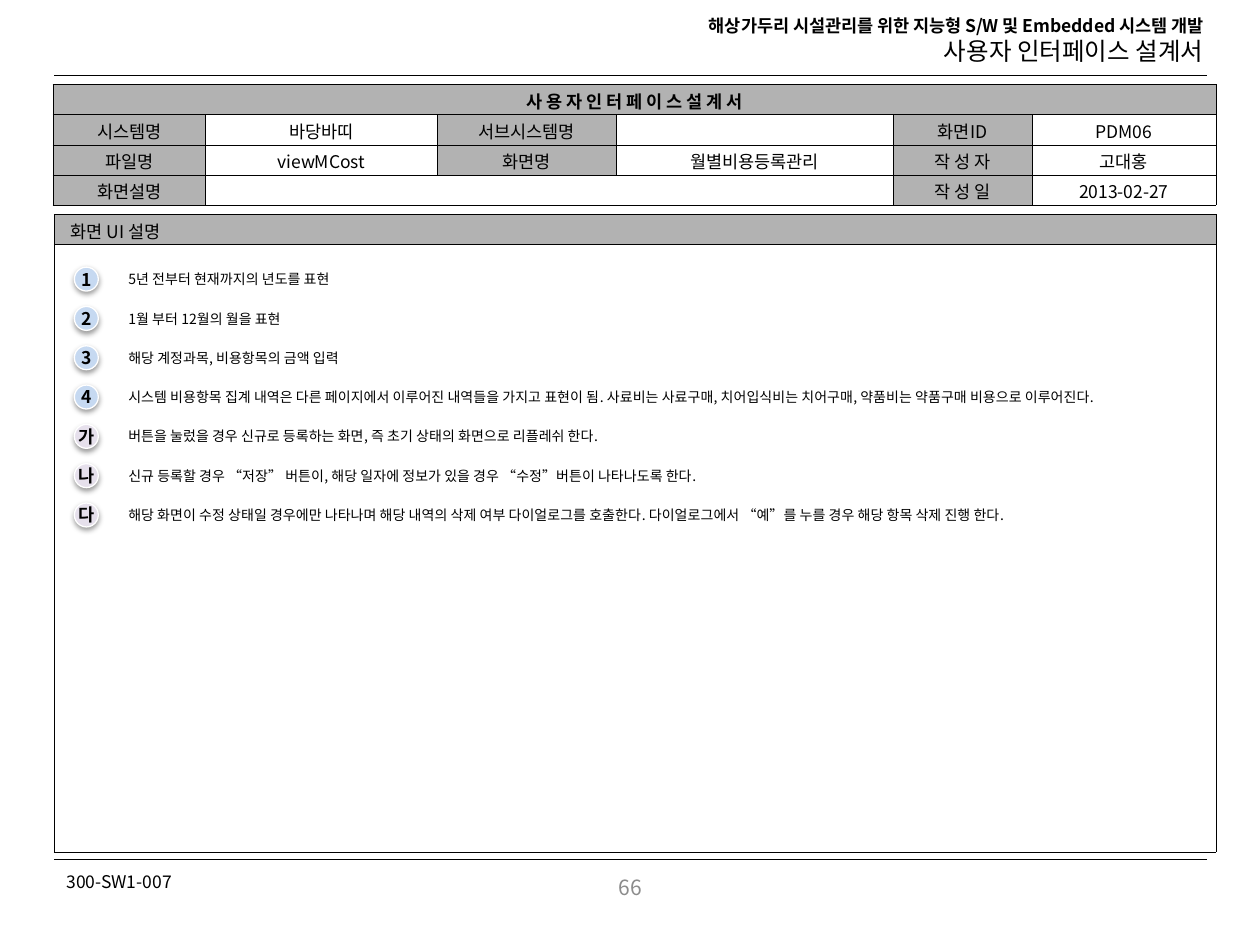
import pptx
import pptx.util
import pptx.dml.color
import pptx.enum.shapes
import pptx.enum.text
import pptx.oxml
import pptx.oxml.ns
from lxml import etree

Inches, Pt = pptx.util.Inches, pptx.util.Pt
ALIGN, ANCHOR = pptx.enum.text.PP_ALIGN, pptx.enum.text.MSO_ANCHOR
FONT = "Noto Sans CJK KR"
BLACK, WHITE, GRAY, BLUE, LILAC = "000000", "FFFFFF", "B2B2B2", "C6D9F1", "E6E0EC"

# Content
HEADER = ["해상가두리 시설관리를 위한 지능형 S/W 및 Embedded 시스템 개발", "사용자 인터페이스 설계서"]
DOCUMENT_CODE, PAGE_NUMBER = "300-SW1-007", "66"
INFO_ROWS = [
    ["사 용 자 인 터 페 이 스 설 계 서", "", "", "", "", ""],
    ["시스템명", "바당바띠", "서브시스템명", "", "화면ID", "PDM06"],
    ["파일명", "viewMCost", "화면명", "월별비용등록관리", "작 성 자", "고대홍"],
    ["화면설명", "", "", "", "작 성 일", "2013-02-27"],
]
INFO_COLUMNS = [1.21, 1.84, 1.42, 2.2, 1.1, 1.46]
INFO_MERGES = [(0, 0, 5), (3, 1, 3)]  # row, first column, last column
PANEL_ROWS = [["화면 UI 설명"], [""]]
NOTES = [  # badge, colour, text width, text
    ("1", BLUE, 1.98, "5년 전부터 현재까지의 년도를 표현"),
    ("2", BLUE, 1.55, "1월 부터 12월의 월을 표현"),
    ("3", BLUE, 2.11, "해당 계정과목, 비용항목의 금액 입력"),
    ("4", BLUE, 8.72, "시스템 비용항목 집계 내역은 다른 페이지에서 이루어진 내역들을 가지고 표현이 됨. "
     "사료비는 사료구매, 치어입식비는 치어구매, 약품비는 약품구매 비용으로 이루어진다."),
    ("가", LILAC, 4.4, "버튼을 눌렀을 경우 신규로 등록하는 화면, 즉 초기 상태의 화면으로 리플레쉬 한다."),
    ("나", LILAC, 4.98, "신규 등록할 경우 “저장” 버튼이, 해당 일자에 정보가 있을 경우 “수정”버튼이 나타나도록 한다."),
    ("다", LILAC, 7.87, "해당 화면이 수정 상태일 경우에만 나타나며 해당 내역의 삭제 여부 다이얼로그를 호출한다. "
     "다이얼로그에서 “예”를 누를 경우 해당 항목 삭제 진행 한다."),
]

# Layout in inches
LEFT, RULE_WIDTH = 0.43, 9.15
ROW_HEIGHT, BODY_HEIGHT = 0.24, 4.82
NOTE_TOP, NOTE_STEP, BADGE_SIZE = 2.12, 0.312, 0.19


def color(value):
    return pptx.dml.color.RGBColor.from_string(value)


def set_all(target, **values):
    for name, value in values.items():
        setattr(target, name, value)


def add_xml(parent, xml):
    namespace = pptx.oxml.ns.nsdecls("a")
    parent.append(pptx.oxml.parse_xml(xml.replace(">", f" {namespace}>", 1)))


def write(paragraph, text, size=10, bold=False, ink=BLACK, align=ALIGN.LEFT):
    paragraph.alignment = align
    if not text:
        add_xml(paragraph._p, f'<a:endParaRPr sz="{size * 100}"></a:endParaRPr>')
        return
    run = paragraph.add_run()
    run.text = text
    set_all(run.font, size=Pt(size), bold=bold, name=FONT)
    run.font.color.rgb = color(ink)
    east_asian = etree.SubElement(run._r.get_or_add_rPr(), pptx.oxml.ns.qn("a:ea"))
    east_asian.set("typeface", FONT)


def add_text(shapes, box, text, wrap=True, anchor=ANCHOR.TOP, grow=True, **style):
    frame = shapes.add_textbox(*map(Inches, box)).text_frame
    sizing = pptx.enum.text.MSO_AUTO_SIZE
    set_all(frame, word_wrap=wrap, vertical_anchor=anchor,
            auto_size=sizing.SHAPE_TO_FIT_TEXT if grow else sizing.NONE)
    write(frame.paragraphs[0], text, **style)
    return frame


def add_rule(slide, top):
    points = map(Inches, (LEFT, top, LEFT + RULE_WIDTH, top))
    rule = slide.shapes.add_connector(pptx.enum.shapes.MSO_CONNECTOR.STRAIGHT, *points)
    rule.line.color.rgb = color(BLACK)
    rule.line.width = Pt(0.25)
    add_xml(rule._element.spPr, "<a:effectLst></a:effectLst>")


def add_grid(slide, left, top, columns, heights, rows, is_label, **style):
    box = map(Inches, (left, top, sum(columns), sum(heights)))
    table = slide.shapes.add_table(len(rows), len(columns), *box).table
    set_all(table, first_row=False, horz_banding=False)
    for column, width in zip(table.columns, columns):
        column.width = Inches(width)
    for r, (row, height) in enumerate(zip(rows, heights)):
        table.rows[r].height = Inches(height)
        for c, text in enumerate(row):
            cell = table.cell(r, c)
            set_all(cell, vertical_anchor=ANCHOR.MIDDLE,
                    margin_left=Inches(0.13), margin_right=Inches(0.13),
                    margin_top=Inches(0.02), margin_bottom=0)
            write(cell.text_frame.paragraphs[0], text, bold=is_label(r, c) and len(row) > 1 and r == 0,
                  **style)
            for side in "LRTB":
                add_xml(cell._tc.get_or_add_tcPr(),
                        f'<a:ln{side} w="3175"><a:solidFill><a:srgbClr val="{BLACK}"/>'
                        f'</a:solidFill></a:ln{side}>')
            cell.fill.solid()
            cell.fill.fore_color.rgb = color(GRAY if is_label(r, c) else WHITE)
    return table


def add_note(slide, top, badge, fill, width, text):
    shapes = slide.shapes.add_group_shape().shapes
    box = map(Inches, (0.59, top, BADGE_SIZE, BADGE_SIZE))
    circle = shapes.add_shape(pptx.enum.shapes.MSO_SHAPE.OVAL, *box)
    circle.fill.solid()
    circle.fill.fore_color.rgb = color(fill)
    circle.line.color.rgb = color(WHITE)
    circle.line.width = Pt(0.75)
    add_xml(circle._element.spPr,
            f'<a:effectLst><a:outerShdw blurRad="{Pt(3.1)}" dist="{Pt(1.6)}" dir="5400000" '
            f'rotWithShape="0"><a:srgbClr val="{BLACK}"><a:alpha val="38000"/></a:srgbClr>'
            '</a:outerShdw></a:effectLst>')
    set_all(circle.text_frame, word_wrap=False, vertical_anchor=ANCHOR.MIDDLE,
            margin_left=0, margin_right=0, margin_top=0, margin_bottom=0)
    write(circle.text_frame.paragraphs[0], badge, bold=True, align=ALIGN.CENTER)
    add_text(shapes, (0.92, top - 0.02, width, 0.24), text, wrap=False, size=8)


def main():
    presentation = pptx.Presentation()
    set_all(presentation, slide_width=Inches(10), slide_height=Inches(7.5))
    slide = presentation.slides.add_slide(presentation.slide_layouts[6])

    # Page header and footer
    header = add_text(slide.shapes, (4.77, 0.07, 4.88, 0.51), HEADER[0], bold=True, align=ALIGN.RIGHT)
    write(header.add_paragraph(), HEADER[1], size=14, align=ALIGN.RIGHT)
    for top in (0.6, 6.82):
        add_rule(slide, top)
    add_text(slide.shapes, (LEFT, 6.86, 1.16, 0.27), DOCUMENT_CODE, wrap=False)
    add_text(slide.shapes, (LEFT, 6.84, RULE_WIDTH, 0.4), PAGE_NUMBER, anchor=ANCHOR.MIDDLE,
             grow=False, size=12, ink="8C8C8C", align=ALIGN.CENTER)

    # Screen information: labels fill the title row and every other column
    info = add_grid(slide, 0.42, 0.67, INFO_COLUMNS, [ROW_HEIGHT] * len(INFO_ROWS), INFO_ROWS,
                    lambda r, c: r == 0 or c % 2 == 0 and (r, c) != (3, 2), align=ALIGN.CENTER)
    for row, first, last in INFO_MERGES:
        info.cell(row, first).merge(info.cell(row, last))

    # Description panel with its numbered notes
    add_grid(slide, LEFT, 1.7, [9.22], [ROW_HEIGHT, BODY_HEIGHT], PANEL_ROWS, lambda r, c: r == 0)
    for index, note in enumerate(NOTES):
        add_note(slide, NOTE_TOP + index * NOTE_STEP, *note)

    presentation.save("out.pptx")


if __name__ == "__main__":
    main()
